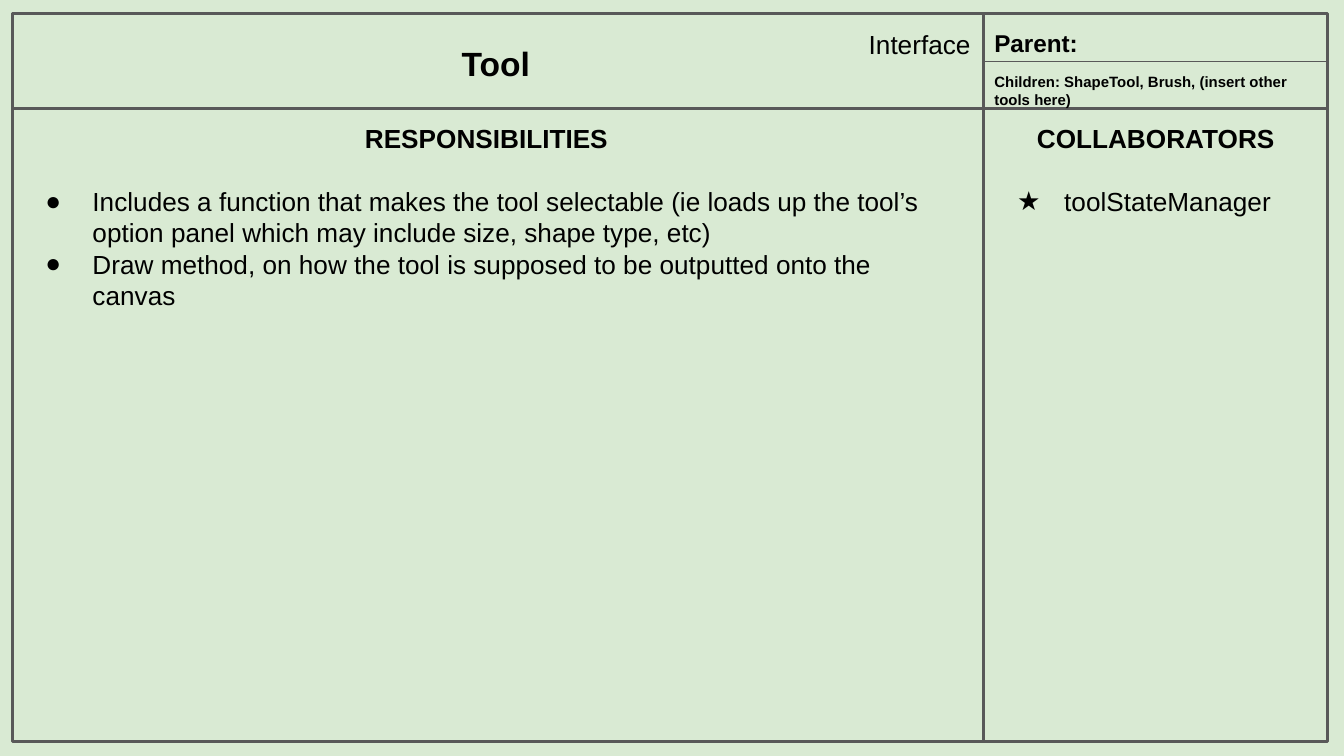
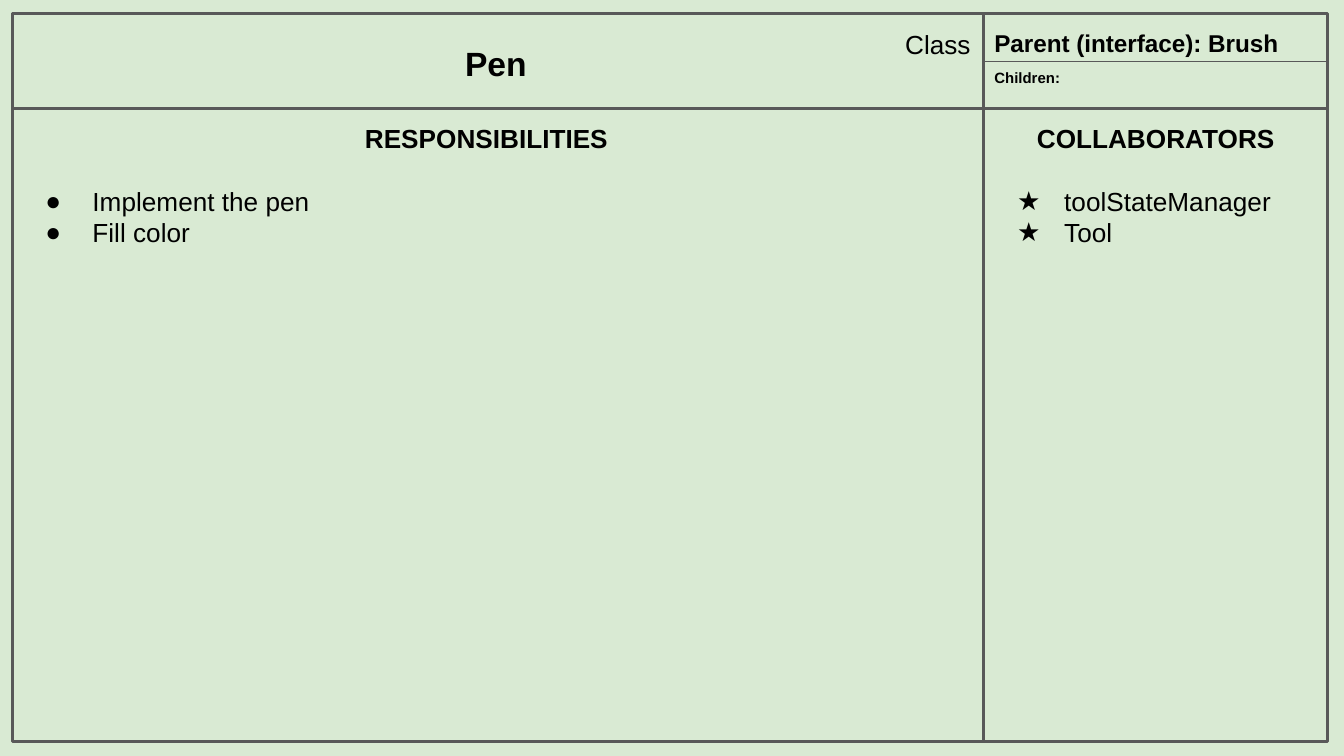
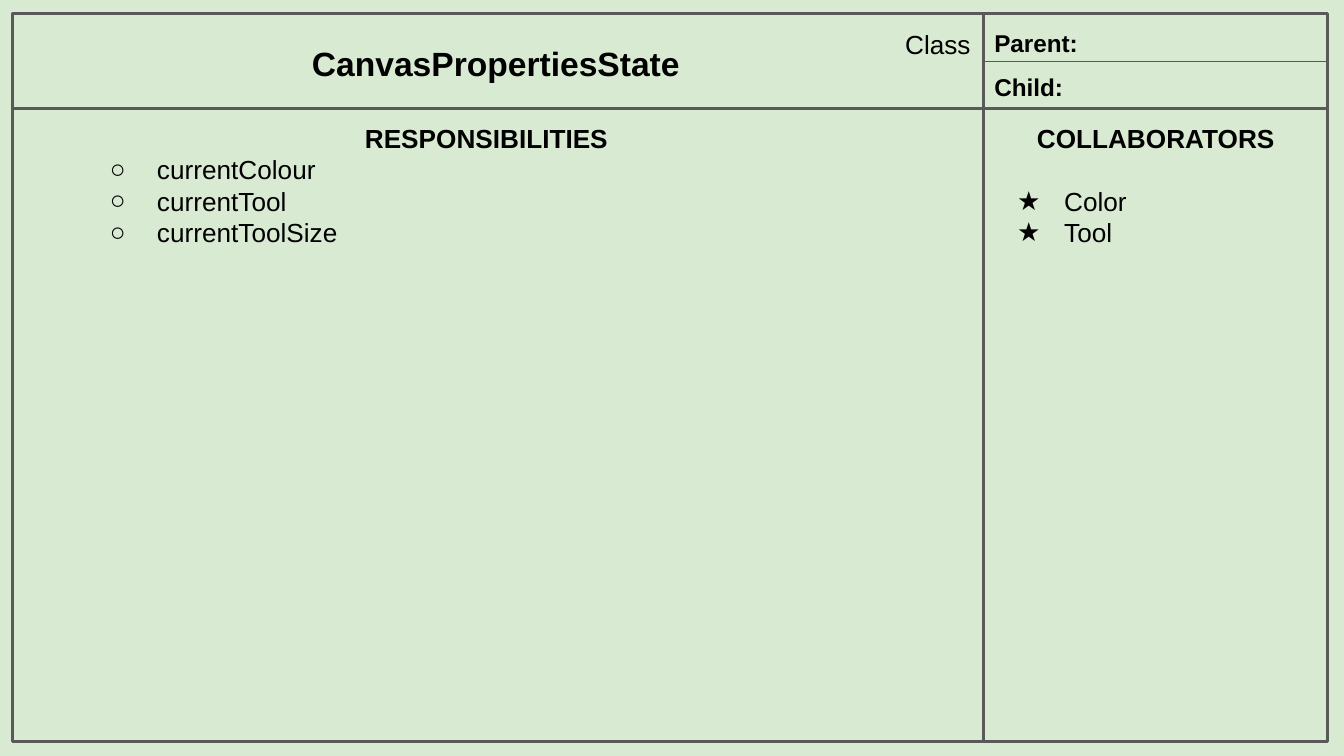
from dataclasses import dataclass

from lxml import etree
from pptx import Presentation
from pptx import util as u
from pptx.dml.color import RGBColor
from pptx.enum import shapes, text
from pptx.oxml.ns import qn

WIDTH = 10
HEIGHT = WIDTH * 9 / 16
FONT, INK, RULE, PAPER = "Arial", "000000", "595959", "D9EAD3"
LEFT, DIVIDER, RIGHT = 0.09, 7.32, 9.88
TOP, RELATION_ROW, HEADER_ROW, BOTTOM = 0.1, 0.46, 0.81, 5.52
INSET, LINE_HEIGHT, BLANK_LINE = 0.1, 1.21, 17
RELATION_LEFT, RELATION_WIDTH = 7.3, 2.62
BODY_SIZE, HANGING = 14, 0.35
ALIGN = text.PP_ALIGN


@dataclass
class Card:
    """Content of one class card."""

    name: str
    kind: str
    parent: str
    children: str
    responsibilities: list
    collaborators: list
    children_size: int = 8
    children_lines: int = 1
    body_lines: int = 4
    nested: bool = False


CARDS = [
    Card(
        "Tool", "Interface", "Parent:",
        "Children: ShapeTool, Brush, (insert other tools here)",
        ["Includes a function that makes the tool selectable (ie loads up the "
         "tool’s option panel which may include size, shape type, etc)",
         "Draw method, on how the tool is supposed to be outputted onto the canvas"],
        ["toolStateManager"],
        children_lines=2, body_lines=6,
    ),
    Card(
        "Pen", "Class", "Parent (interface): Brush", "Children: ",
        ["Implement the pen", "Fill color"],
        ["toolStateManager", "Tool"],
    ),
    Card(
        "CanvasPropertiesState", "Class", "Parent:", "Child:",
        ["currentColour", "currentTool", "currentToolSize"],
        ["Color", "Tool"],
        children_size=13, nested=True,
    ),
]


def color(value):
    """Turn a hex string into a colour."""
    return RGBColor.from_string(value)


def text_height(size, lines=1):
    """Height in inches of a box that holds the given lines."""
    return 2 * INSET + lines * size * LINE_HEIGHT / 72


def format_paragraph(paragraph, size, bold=False, align=ALIGN.LEFT):
    """Set the alignment of a paragraph and the font of its runs."""
    paragraph.alignment = align
    for run in paragraph.runs:
        run.font.name = FONT
        run.font.size = u.Pt(size)
        run.font.bold = bold
        run.font.color.rgb = color(INK)


def add_text(slide, left, top, width, height, content, size, bold=False, align=ALIGN.LEFT):
    """Add a wrapping text box with one paragraph and return its frame."""
    box = slide.shapes.add_textbox(*map(u.Inches, (left, top, width, height)))
    frame = box.text_frame
    frame.word_wrap = True
    frame.auto_size = text.MSO_AUTO_SIZE.SHAPE_TO_FIT_TEXT
    frame.margin_left = frame.margin_right = u.Inches(INSET)
    frame.margin_top = frame.margin_bottom = u.Inches(INSET)
    frame.text = content
    format_paragraph(frame.paragraphs[0], size, bold, align)
    return frame


def add_bullet(paragraph, mark, indent):
    """Give a paragraph a hanging bullet."""
    properties = paragraph._p.get_or_add_pPr()
    properties.set("marL", str(u.Inches(indent)))
    properties.set("indent", str(-u.Inches(HANGING)))
    bullet_color = etree.SubElement(properties, qn("a:buClr"))
    etree.SubElement(bullet_color, qn("a:srgbClr"), val=INK)
    etree.SubElement(properties, qn("a:buFont"), typeface=FONT)
    etree.SubElement(properties, qn("a:buChar"), char=mark)


def add_list(slide, left, width, heading, items, lines, mark, nested=False):
    """Add a headed bullet list below the header row."""
    frame = add_text(slide, left, HEADER_ROW, width, text_height(BODY_SIZE, lines),
                     heading, BODY_SIZE, True, ALIGN.CENTER)
    if not nested:
        frame.paragraphs[0].space_after = u.Pt(BLANK_LINE)
    for item in items:
        paragraph = frame.add_paragraph()
        paragraph.text = item
        paragraph.level = int(nested)
        format_paragraph(paragraph, BODY_SIZE)
        add_bullet(paragraph, mark, 0.98 if nested else 0.5)


def add_rule(slide, start, end, weight=1.5):
    """Draw a straight rule between two points."""
    rule = slide.shapes.add_connector(
        shapes.MSO_CONNECTOR.STRAIGHT, *map(u.Inches, (*start, *end)))
    rule.line.color.rgb = color(RULE)
    rule.line.width = u.Pt(weight)
    etree.SubElement(rule._element.spPr, qn("a:effectLst"))


def add_border(slide):
    """Draw the outer border of the card."""
    border = slide.shapes.add_shape(
        shapes.MSO_SHAPE.RECTANGLE,
        *map(u.Inches, (LEFT, TOP, RIGHT - LEFT, BOTTOM - TOP)))
    border.shadow.inherit = False
    border.fill.background()
    border.line.color.rgb = color(RULE)
    border.line.width = u.Pt(1.5)


def add_card(presentation, card):
    """Add a slide that shows one class card."""
    slide = presentation.slides.add_slide(presentation.slide_layouts[6])
    slide.background.fill.solid()
    slide.background.fill.fore_color.rgb = color(PAPER)
    add_border(slide)
    add_text(slide, 0.23, 0.22, 6.92, text_height(18), card.name, 18, True, ALIGN.CENTER)
    add_list(slide, LEFT, 7.06, "RESPONSIBILITIES", card.responsibilities,
             card.body_lines, "○" if card.nested else "●", card.nested)
    add_list(slide, DIVIDER, RIGHT - DIVIDER, "COLLABORATORS", card.collaborators,
             len(card.collaborators) + 2, "★")
    add_rule(slide, (LEFT, HEADER_ROW), (RIGHT, HEADER_ROW))
    add_rule(slide, (DIVIDER, TOP), (DIVIDER, BOTTOM))
    add_text(slide, DIVIDER - RELATION_WIDTH, 0.11, RELATION_WIDTH,
             text_height(BODY_SIZE), card.kind, BODY_SIZE, align=ALIGN.RIGHT)
    add_rule(slide, (RIGHT, RELATION_ROW), (DIVIDER, RELATION_ROW), 0.75)
    relations = [(0.11, card.parent, 13, 1),
                 (0.44, card.children, card.children_size, card.children_lines)]
    for top, label, size, lines in relations:
        add_text(slide, RELATION_LEFT, top, RELATION_WIDTH,
                 text_height(size, lines), label, size, True)


def main():
    """Build and save the deck of class cards."""
    presentation = Presentation()
    presentation.slide_width = u.Inches(WIDTH)
    presentation.slide_height = u.Inches(HEIGHT)
    for card in CARDS:
        add_card(presentation, card)
    presentation.save("out.pptx")


main()
